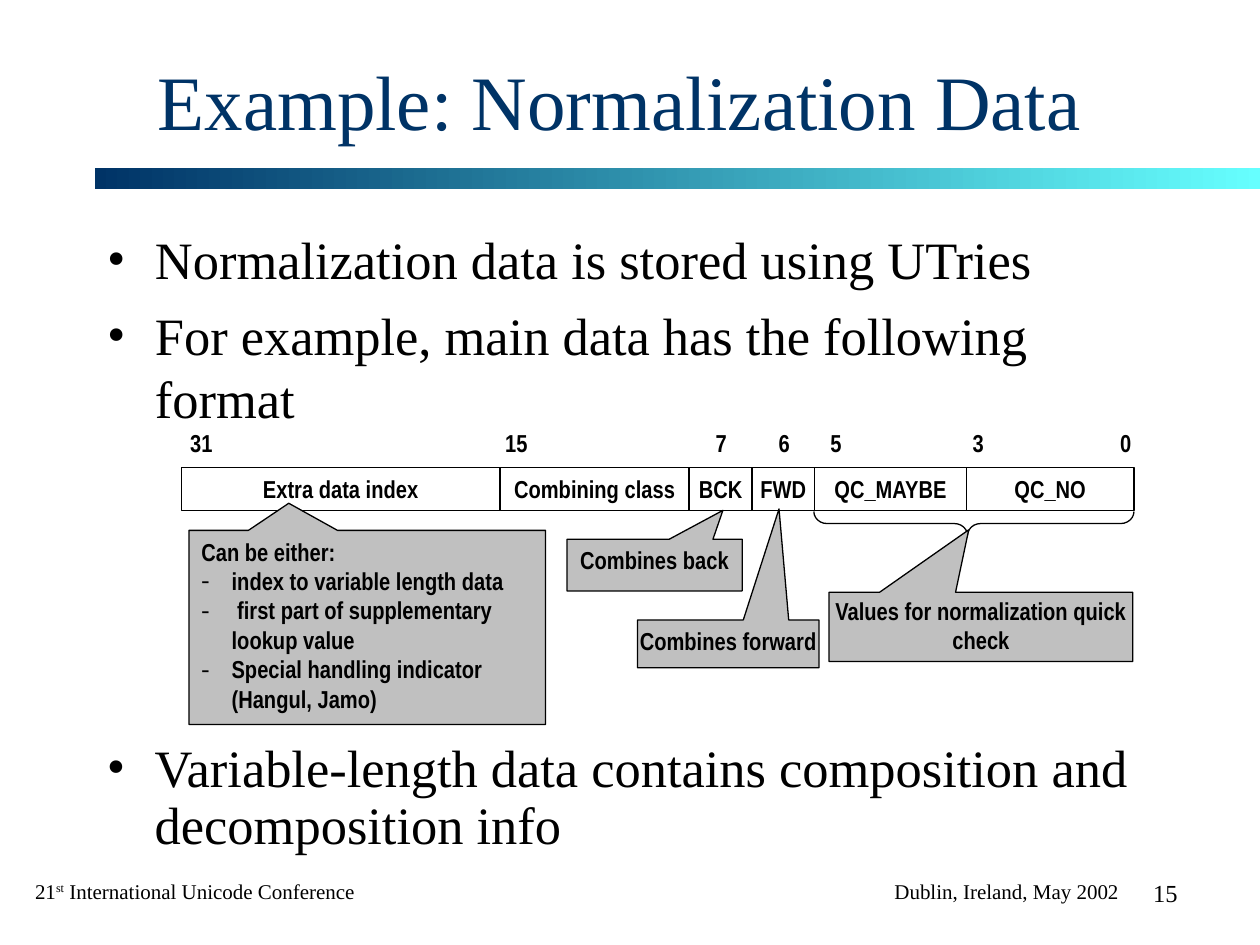
from lxml.etree import SubElement
from pptx import Presentation
from pptx.dml.color import RGBColor
from pptx.enum.shapes import MSO_SHAPE as SHAPE
from pptx.enum.text import MSO_ANCHOR as ANCHOR, MSO_AUTO_SIZE as AUTO, PP_ALIGN as ALIGN
from pptx.oxml.ns import qn
from pptx.util import Emu, Inches, Pt

BLACK = RGBColor(0x00, 0x00, 0x00)
NAVY = RGBColor(0x00, 0x33, 0x66)
AQUA = RGBColor(0x66, 0xFF, 0xFF)
GREY = RGBColor(0xC0, 0xC0, 0xC0)
SERIF, NARROW = "Times New Roman", "Arial Narrow"
COLS, ROWS = 100, 75


def add_bullet(p, char, indent):
    pPr = p._p.get_or_add_pPr()
    pPr.set("marL", str(Inches(indent)))
    pPr.set("indent", str(-Inches(indent)))
    SubElement(pPr, qn("a:buFont")).set("typeface", SERIF)
    SubElement(pPr, qn("a:buChar")).set("char", char)


def write(sp, *paras, font=NARROW, size=14, bold=False, color=BLACK, align=ALIGN.LEFT,
          anchor=ANCHOR.TOP, insets=(0.1, 0.05, 0.1, 0.05), wrap=True, bullet=None,
          indent=0.38, plain=0, before=0, spacing=1):
    tf = sp.text_frame
    tf.auto_size, tf.word_wrap, tf.vertical_anchor = AUTO.NONE, wrap, anchor
    tf.margin_left, tf.margin_top, tf.margin_right, tf.margin_bottom = map(Inches, insets)
    for i, text in enumerate(paras):
        p = tf.add_paragraph() if i else tf.paragraphs[0]
        p.alignment, p.line_spacing = align, spacing
        p.space_before = Pt(before if i else 0)
        if bullet and i >= plain:
            add_bullet(p, bullet, indent)
        for k, part in enumerate(text.split("^")):
            r = p.add_run()
            r.text = part
            f = r.font
            f.name, f.size, f.bold, f.color.rgb = font, Pt(size), bold, color
            if k % 2:
                r._r.get_or_add_rPr().set("baseline", "30000")


class Slide:
    tight = (0.01, 0.05, 0.01, 0.05)
    small = dict(font=NARROW, size=14, bold=True)
    listing = dict(font=SERIF, size=30, bullet="•", before=7.5)

    def __init__(self, prs):
        self.s = prs.slides.add_slide(prs.slide_layouts[1])
        self.col, self.row = prs.slide_width / COLS, prs.slide_height / ROWS

    def box(self, x, y, w, h):
        return [Emu(round(n)) for n in
                (x * self.col, y * self.row, w * self.col, h * self.row)]

    def placeholder(self, idx, at, *paras, **fmt):
        sp = self.s.placeholders[idx]
        sp.left, sp.top, sp.width, sp.height = self.box(*at)
        write(sp, *paras, **fmt)

    def text(self, at, *paras, **fmt):
        write(self.s.shapes.add_textbox(*self.box(*at)), *paras, **fmt)

    def shape(self, kind, at, fill=None, line=BLACK, adj=()):
        sp = self.s.shapes.add_shape(kind, *self.box(*at))
        sp.shadow.inherit = False
        for i, value in enumerate(adj):
            sp.adjustments[i] = value
        if fill is None:
            sp.fill.background()
        else:
            sp.fill.solid()
            sp.fill.fore_color.rgb = fill
        if line is None:
            sp.line.fill.background()
        else:
            sp.line.color.rgb, sp.line.width = line, Pt(0.75)
        return sp

    def band(self, at, *colors):
        fill = self.shape(SHAPE.RECTANGLE, at, line=None).fill
        fill.gradient()
        fill.gradient_angle = 0
        for stop, color in zip(fill.gradient_stops, colors):
            stop.color.rgb = color

    def field(self, at, name):
        write(self.shape(SHAPE.RECTANGLE, at), name, align=ALIGN.CENTER,
              anchor=ANCHOR.MIDDLE, insets=self.tight, **self.small)

    def callout(self, at, tip, *paras, **fmt):
        sp = self.shape(SHAPE.RECTANGULAR_CALLOUT, at, fill=GREY, adj=tip)
        write(sp, *paras, **{"align": ALIGN.CENTER, **self.small, **fmt})

    def brace(self, x, y, w, h, point):
        at = (x + (w - h) / 2, y + (h - w) / 2, h, w)
        self.shape(SHAPE.LEFT_BRACE, at, adj=(0.55, point)).rotation = 270


def main():
    prs = Presentation()
    prs.slide_width, prs.slide_height = Inches(10), Inches(7.5)
    s = Slide(prs)

    s.band((7.5, 13.3, 92.5, 1.7), NAVY, AQUA)
    s.placeholder(0, (6.7, 3.3, 85, 9.2), "Example: Normalization Data", font=SERIF,
                  size=44, color=NAVY, align=ALIGN.CENTER, anchor=ANCHOR.MIDDLE)
    s.placeholder(1, (7.5, 17.5, 85, 17.1), "Normalization data is stored using UTries",
                  "For example, main data has the following format", **s.listing)

    edges = [14.4, 39.7, 54.7, 59.7, 64.65, 76.7, 90]
    names = ["Extra data index", "Combining class", "BCK", "FWD", "QC_MAYBE", "QC_NO"]
    for name, left, right in zip(names, edges, edges[1:]):
        s.field((left, 37.1, right - left, 3.4), name)

    bits = {"31": 15, "15": 40, "7": 56.7, "6": 61.7, "5": 65.8, "3": 77.1, "0": 88.8}
    for bit, x in bits.items():
        s.text((x, 33.5, 3, 2.2), bit, insets=s.tight, **s.small)

    s.callout((45, 42.8, 13.9, 4.1), (0.39, -1.06), "Combines back")
    s.callout((50.6, 49.2, 14.4, 3.8), (0.28, -2.82), "Combines forward", insets=s.tight)
    s.callout((15, 42.1, 28.3, 15.4), (-0.22, -0.64), "Can be either:",
              "index to variable length data", " first part of supplementary lookup value",
              "Special handling indicator (Hangul, Jamo)",
              align=ALIGN.LEFT, bullet="-", indent=0.24, plain=1)
    s.brace(64.6, 40.6, 25.4, 1.9, 0.48)
    s.callout((65.8, 47, 24.1, 5.5), (-0.04, -1.4), "Values for normalization quick check",
              insets=(0.01, 0.03, 0.01, 0.05))

    s.text((7.5, 58.4, 85, 9.9), "Variable-length data contains composition and "
           "decomposition info", spacing=0.9, **s.listing)
    s.text((1.8, 69.2, 27.4, 3), "21^st^ International Unicode Conference",
           font=SERIF, size=12, wrap=False)
    s.text((70, 69.2, 19.9, 3), "Dublin, Ireland, May 2002", font=SERIF, size=12, wrap=False)
    s.text((87.5, 69.2, 10, 4.2), "15", font=SERIF, align=ALIGN.CENTER)
    prs.save("out.pptx")


if __name__ == "__main__":
    main()
